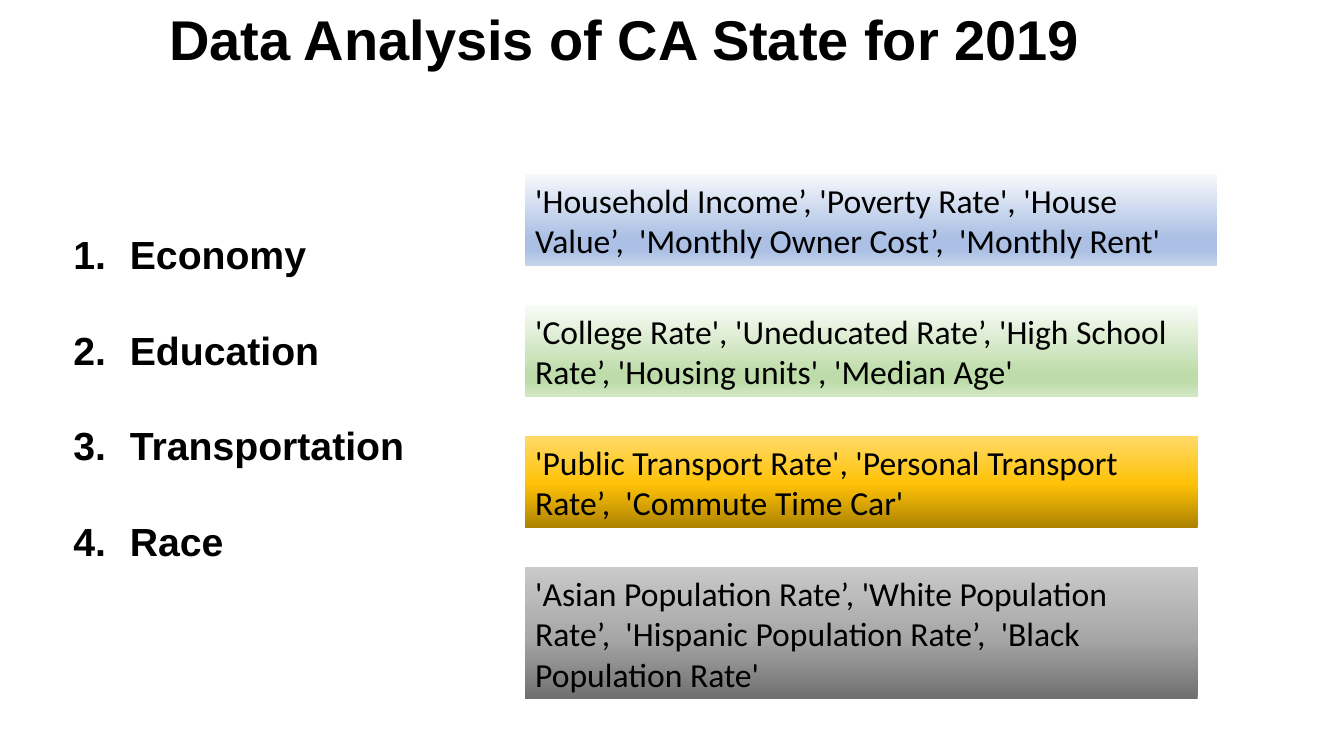
from lxml import etree
from pptx import Presentation
from pptx.dml.color import RGBColor
from pptx.enum.shapes import MSO_SHAPE
from pptx.enum.text import MSO_ANCHOR, PP_ALIGN
from pptx.oxml.ns import qn
from pptx.util import Inches, Pt

RECT = MSO_SHAPE.RECTANGLE
TOP, MIDDLE = MSO_ANCHOR.TOP, MSO_ANCHOR.MIDDLE
LEFT = PP_ALIGN.LEFT

COLORS = {
    "text": "000000",
    "blue_pale": "F6F8FC", "blue": "ABC0E4", "blue_soft": "C7D5ED",
    "green_pale": "F8FBF6", "green": "BEDCAA", "green_soft": "D4E8C6",
    "gold_dark": "AB8100", "gold": "FFC208", "gold_soft": "FFD966",
    "gray_dark": "6F6F6F", "gray": "A8A8A8", "gray_soft": "C9C9C9",
}


def write(shape, lines, size, font="Arial", bold=False, anchor=TOP, gap=0, number=False):
    frame = shape.text_frame
    frame.word_wrap = True
    frame.vertical_anchor = anchor
    for i, line in enumerate(lines):
        para = frame.paragraphs[0] if i == 0 else frame.add_paragraph()
        para.alignment = LEFT
        if i and gap:
            para.space_before = Pt(gap)
        if number:
            props = para._p.get_or_add_pPr()
            props.set("marL", str(Inches(0.56)))
            props.set("indent", str(-Inches(0.56)))
            etree.SubElement(props, qn("a:buFont"), typeface="+mj-lt")
            etree.SubElement(props, qn("a:buAutoNum"), type="arabicPeriod")
        run = para.add_run()
        run.text = line
        run.font.name = font
        run.font.size = Pt(size)
        run.font.bold = bold
        run.font.color.rgb = RGBColor.from_string(COLORS["text"])


def shade(shape, stops, angle):
    shape.fill.gradient()
    shape.fill.gradient_angle = angle
    group = shape._element.spPr.find(qn("a:gradFill")).find(qn("a:gsLst"))
    for old in list(group):
        group.remove(old)
    for place, color in stops:
        stop = etree.SubElement(group, qn("a:gs"), pos=str(place * 1000))
        etree.SubElement(stop, qn("a:srgbClr"), val=COLORS[color])


deck = Presentation()
deck.slide_width, deck.slide_height = Inches(13.33), Inches(7.5)
slide = deck.slides.add_slide(deck.slide_layouts[6])

title = slide.shapes.add_textbox(Inches(1.58), Inches(0), Inches(9.33), Inches(0.77))
write(title, ["Data Analysis of CA State for 2019"], 40, bold=True)

topics = slide.shapes.add_textbox(Inches(0.63), Inches(2.24), Inches(3.52), Inches(3.4))
write(topics, ["Economy", "Education", "Transportation", "Race"], 28,
      bold=True, gap=34.5, number=True)

bands = [
    ("'Household Income’, 'Poverty Rate', 'House Value’,  'Monthly Owner Cost’,  'Monthly Rent'",
     6.86, 0.91, [(0, "blue_pale"), (69, "blue"), (83, "blue"), (100, "blue_soft")], 270),
    ("'College Rate', 'Uneducated Rate’, 'High School Rate’, 'Housing units', 'Median Age'",
     6.67, 0.91, [(0, "green_pale"), (74, "green"), (83, "green"), (100, "green_soft")], 270),
    ("'Public Transport Rate', 'Personal Transport Rate’,  'Commute Time Car'",
     6.67, 0.91, [(0, "gold_dark"), (48, "gold"), (100, "gold_soft")], 90),
    ("'Asian Population Rate’, 'White Population Rate’,  'Hispanic Population Rate’,  "
     "'Black Population Rate'",
     6.67, 1.31, [(0, "gray_dark"), (48, "gray"), (100, "gray_soft")], 90),
]
for i, (text, width, height, stops, angle) in enumerate(bands):
    band = slide.shapes.add_shape(
        RECT, Inches(5.21), Inches(1.73 + 1.3 * i), Inches(width), Inches(height))
    band.shadow.inherit = False
    band.line.fill.background()
    shade(band, stops, angle)
    write(band, [text], 24, font="Calibri", anchor=MIDDLE)

deck.save("out.pptx")
